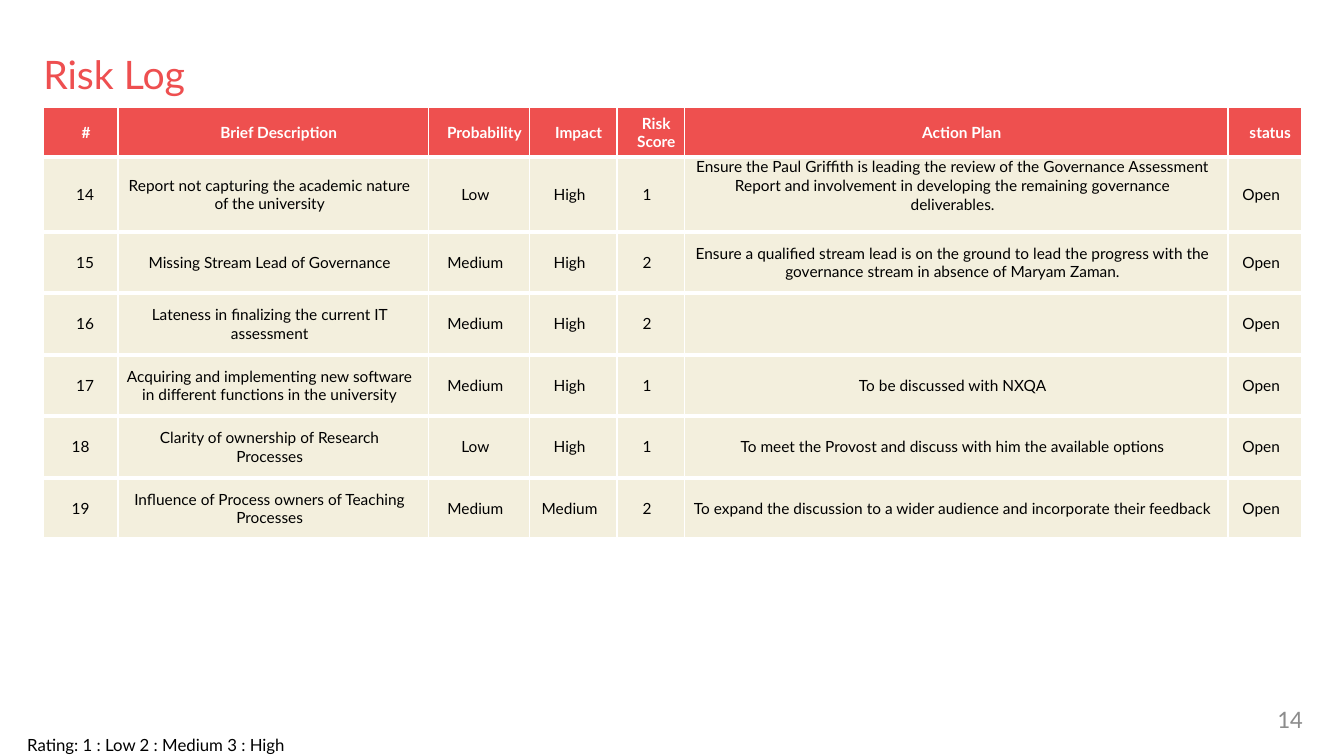
from lxml import etree
from pptx import Presentation
from pptx.dml.color import RGBColor
from pptx.enum.text import MSO_ANCHOR, PP_ALIGN
from pptx.oxml.ns import qn
from pptx.util import Inches, Pt

LEFT, CENTER, RIGHT = PP_ALIGN.LEFT, PP_ALIGN.CENTER, PP_ALIGN.RIGHT
TOP, MIDDLE = MSO_ANCHOR.TOP, MSO_ANCHOR.MIDDLE

COLORS = {
    "title": "EE4F50",
    "header": "EE504F",
    "body": "F3EFDD",
    "white": "FFFFFF",
    "black": "000000",
    "page_number": "8C8C8C",
}

COLUMN_WIDTHS = [0.74, 3.08, 1, 0.87, 0.67, 5.39, 0.73]
ROW_HEIGHTS = [0.49, 0.74] + [0.61] * 5
HEADERS = ["#", "Brief Description", "Probability", "Impact", "Risk Score",
           "Action Plan", "status"]
RISKS = [
    ["14", "Report not capturing the academic nature of the university",
     "Low", "High", "1",
     "Ensure the Paul Griffith is leading the review of the Governance "
     "Assessment Report and involvement in developing the remaining "
     "governance deliverables.", "Open"],
    ["15", "Missing Stream Lead of Governance", "Medium", "High", "2",
     "Ensure a qualified stream lead is on the ground to lead the progress "
     "with the governance stream in absence of Maryam Zaman.", "Open"],
    ["16", "Lateness in finalizing the current IT assessment",
     "Medium", "High", "2", "", "Open"],
    ["17", "Acquiring and implementing new software in different functions "
     "in the university", "Medium", "High", "1",
     "To be discussed with NXQA", "Open"],
    ["18", "Clarity of ownership of Research Processes", "Low", "High", "1",
     "To meet the Provost and discuss with him the available options", "Open"],
    ["19", "Influence of Process owners of Teaching Processes",
     "Medium", "Medium", "2",
     "To expand the discussion to a wider audience and incorporate their "
     "feedback", "Open"],
]
UNINDENTED_NUMBERS = ("18", "19")


def format_text(text_frame, size, color, font="Lato", bold=False, align=LEFT):
    for paragraph in text_frame.paragraphs:
        paragraph.alignment = align
        for run in paragraph.runs:
            run.font.name = font
            run.font.size = Pt(size)
            run.font.bold = bold
            run.font.color.rgb = RGBColor.from_string(COLORS[color])


def set_text(shape, text, size, color, **style):
    """Write text from the top of a shape, without insets."""
    text_frame = shape.text_frame
    text_frame.word_wrap = True
    text_frame.vertical_anchor = TOP
    text_frame.margin_left = text_frame.margin_right = 0
    text_frame.margin_top = text_frame.margin_bottom = 0
    text_frame.text = text
    format_text(text_frame, size, color, **style)


def add_label(slide, box, text, size, color, **style):
    label = slide.shapes.add_textbox(*map(Inches, box))
    set_text(label, text, size, color, **style)


def add_rating_note(slide, left, top, width, height):
    right, bottom = left + width, top + height
    builder = slide.shapes.build_freeform(Inches(left), Inches(top))
    builder.add_line_segments(
        [(Inches(x), Inches(y))
         for x, y in ((right, top), (right, bottom), (left, bottom))])
    note = builder.convert_to_shape()
    note.shadow.inherit = False
    note.fill.background()
    note.line.fill.background()
    set_text(note, "Rating: 1 : Low 2 : Medium 3 : High", 12, "black")


def set_borders(cell, top_width):
    """Draw white borders: 1 pt at the sides, 3 pt below."""
    properties = cell._tc.get_or_add_tcPr()
    widths = {"lnL": 1, "lnR": 1, "lnT": top_width, "lnB": 3}
    for index, (edge, width) in enumerate(widths.items()):
        line = etree.Element(qn(f"a:{edge}"), w=str(Pt(width)))
        fill = etree.SubElement(line, qn("a:solidFill"))
        etree.SubElement(fill, qn("a:srgbClr"), val=COLORS["white"])
        properties.insert(index, line)


def fill_cell(cell, text, is_header, left_indent, right_margin):
    cell.fill.solid()
    fill_color = COLORS["header" if is_header else "body"]
    cell.fill.fore_color.rgb = RGBColor.from_string(fill_color)
    cell.vertical_anchor = MIDDLE
    cell.margin_left = cell.margin_top = cell.margin_bottom = 0
    cell.margin_right = Inches(right_margin)
    set_borders(cell, 1 if is_header else 3)
    cell.text = text
    format_text(cell.text_frame, 11, "white" if is_header else "black",
                bold=is_header, align=CENTER)
    paragraph_properties = cell.text_frame.paragraphs[0]._p.get_or_add_pPr()
    paragraph_properties.set("marL", str(Inches(left_indent)))


def cell_offsets(row, column, text):
    """Return the left indent and right margin of a cell."""
    if row == 0:
        return 0.11, 0
    if column == 0:
        return (0 if text in UNINDENTED_NUMBERS else 0.09), 0
    return 0.08, 0.15


def add_risk_table(slide, left, top):
    rows = [HEADERS] + RISKS
    frame = slide.shapes.add_table(
        len(rows), len(HEADERS), Inches(left), Inches(top),
        Inches(sum(COLUMN_WIDTHS)), Inches(sum(ROW_HEIGHTS)))
    table = frame.table
    table.horz_banding = False
    for column, width in zip(table.columns, COLUMN_WIDTHS):
        column.width = Inches(width)
    for row, height in zip(table.rows, ROW_HEIGHTS):
        row.height = Inches(height)
    for row_index, texts in enumerate(rows):
        for column_index, text in enumerate(texts):
            fill_cell(table.cell(row_index, column_index), text,
                      row_index == 0,
                      *cell_offsets(row_index, column_index, text))
    long_plan = table.cell(1, HEADERS.index("Action Plan"))
    long_plan.margin_bottom = Inches(0.18)


def build_risk_log(presentation):
    slide = presentation.slides.add_slide(presentation.slide_layouts[6])
    add_label(slide, (0.43, 0.5, 11.98, 0.47), "Risk Log", 28, "title")
    add_risk_table(slide, 0.43, 1.07)
    add_label(slide, (9.85, 6.98, 3.07, 0.38), "14", 18, "page_number",
              font="Calibri", align=RIGHT)
    add_rating_note(slide, 0.27, 7.29, 5.24, 0.42)


def main():
    presentation = Presentation()
    presentation.slide_width = Inches(13.33)
    presentation.slide_height = Inches(7.5)
    build_risk_log(presentation)
    presentation.save("out.pptx")


if __name__ == "__main__":
    main()
